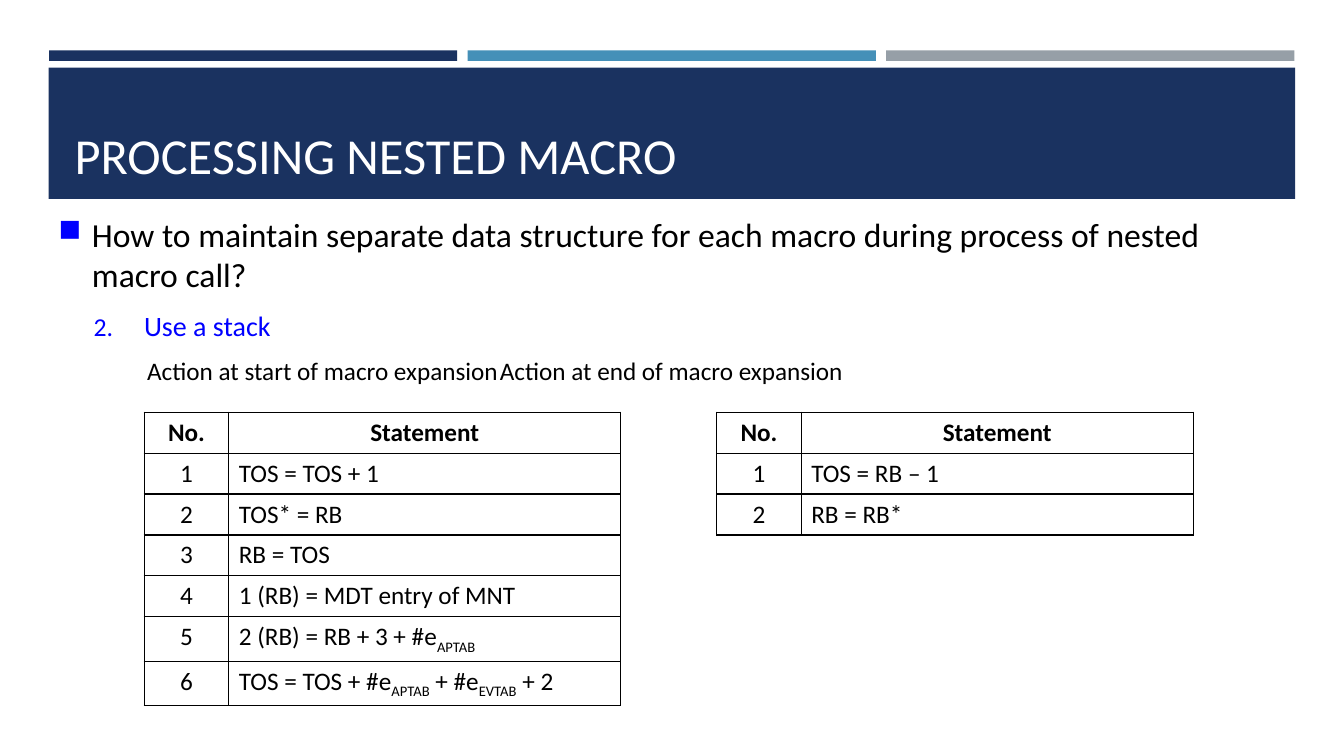
import pptx
import pptx.dml.color
import pptx.enum.shapes
import pptx.enum.text
import pptx.oxml
import pptx.oxml.ns
import pptx.util

Pt = pptx.util.Pt
ALIGN = pptx.enum.text.PP_ALIGN
NAVY, BLUE, GREY = "1A3260", "4590B8", "969FA7"
BLACK, WHITE, ACCENT = "000000", "FFFFFF", "0000FF"


def color(hex_string):
    return pptx.dml.color.RGBColor.from_string(hex_string)


def add_xml(parent, xml):
    """Append a DrawingML fragment to parent."""
    namespace = pptx.oxml.ns.nsdecls("a")
    parent.append(pptx.oxml.parse_xml(xml.replace(" ", f" {namespace} ", 1)))


class MacroSlide:
    font_name = "Calibri"
    row_height = 29.2
    column_widths = (60.4, 280.1)

    def __init__(self, presentation):
        self.slide = presentation.slides.add_slide(presentation.slide_layouts[5])
        self.shapes = self.slide.shapes

    def style(self, paragraph, size, hex_string, bold=False):
        for run in paragraph.runs:
            run.font.name = self.font_name
            run.font.size = Pt(size)
            run.font.bold = bold
            run.font.color.rgb = color(hex_string)

    def bar(self, left, top, width, height, fill):
        bar = self.shapes.add_shape(pptx.enum.shapes.MSO_SHAPE.RECTANGLE,
                                    Pt(left), Pt(top), Pt(width), Pt(height))
        bar.shadow.inherit = False
        bar.fill.solid()
        bar.fill.fore_color.rgb = color(fill)
        bar.line.fill.background()
        return bar

    def title(self, wording, band):
        """Set the title and place it in front of its band."""
        title = self.shapes.title
        title.left, title.top, title.width, title.height = map(Pt, (46.1, 55.4, 868.3, 79.9))
        frame = title.text_frame
        frame.text = wording
        frame.auto_size = pptx.enum.text.MSO_AUTO_SIZE.NONE
        frame.vertical_anchor = pptx.enum.text.MSO_ANCHOR.BOTTOM
        frame.paragraphs[0].alignment = ALIGN.LEFT
        self.style(frame.paragraphs[0], 36, WHITE)
        band.element.addnext(title.element)

    def body(self, entries):
        """Entries are (wording, size, colour, margin, indent, marker XML)."""
        frame = self.shapes.add_textbox(Pt(34.6), Pt(149), Pt(890.6), Pt(391)).text_frame
        frame.word_wrap = True
        for index, (wording, size, hex_string, margin, indent, marker) in enumerate(entries):
            paragraph = frame.add_paragraph() if index else frame.paragraphs[0]
            paragraph.text = wording
            paragraph.space_after = Pt(6)
            if index:
                paragraph.space_before = Pt(size * 0.2)
            properties = paragraph._p.get_or_add_pPr()
            properties.set("marL", str(Pt(margin)))
            properties.set("indent", str(Pt(indent)))
            for xml in marker:
                add_xml(properties, xml)
            self.style(paragraph, size, hex_string)

    def write_cell(self, cell, wording, centred, bold):
        """Write wording, in which _..._ encloses a subscript."""
        cell.fill.background()
        paragraph = cell.text_frame.paragraphs[0]
        paragraph.alignment = ALIGN.CENTER if centred else ALIGN.LEFT
        for index, part in enumerate(wording.split("_")):
            if part:
                run = paragraph.add_run()
                run.text = part
                if index % 2:
                    run._r.get_or_add_rPr().set("baseline", "-25000")
        self.style(paragraph, 18, BLACK, bold)

    def border_cell(self, cell):
        properties = cell._tc.get_or_add_tcPr()
        fill = properties[0]
        for side in ("lnL", "lnR", "lnT", "lnB"):
            add_xml(properties, f'<a:{side} w="{Pt(1)}"><a:solidFill>'
                                f'<a:srgbClr val="{BLACK}"/></a:solidFill></a:{side}>')
        properties.append(fill)

    def statements(self, left, top, statements):
        """Add a table of numbered statements."""
        rows = [("No.", "Statement")]
        rows += [(str(number), text) for number, text in enumerate(statements, 1)]
        table = self.shapes.add_table(
            len(rows), 2, Pt(left), Pt(top), Pt(sum(self.column_widths)),
            Pt(self.row_height * len(rows))).table
        table.horz_banding = False
        for column, width in zip(table.columns, self.column_widths):
            column.width = Pt(width)
        for row_index, row in enumerate(rows):
            table.rows[row_index].height = Pt(self.row_height)
            for column_index, wording in enumerate(row):
                cell = table.cell(row_index, column_index)
                header = row_index == 0
                self.write_cell(cell, wording, header or column_index == 0, header)
                self.border_cell(cell)


def main():
    presentation = pptx.Presentation()
    presentation.slide_width, presentation.slide_height = Pt(960), Pt(540)
    slide = MacroSlide(presentation)

    for index, fill in enumerate((NAVY, BLUE, GREY)):
        slide.bar(35 + index * 299, 36, 291.6, 7.5, fill)
    band = slide.bar(34.7, 48.3, 890.4, 93.8, NAVY)
    slide.title("PROCESSING NESTED MACRO", band)

    marker_style = (f'<a:buClr ><a:srgbClr val="{ACCENT}"/></a:buClr>',
                    '<a:buSzPct val="92000"/>')
    slide.body([
        ("How to maintain separate data structure for each macro during process "
         "of nested macro call?", 24, BLACK, 24, -24,
         (*marker_style, '<a:buChar char="■"/>')),
        ("Use a stack", 20, ACCENT, 61.2, -36,
         (*marker_style, '<a:buAutoNum type="arabicPeriod" startAt="2"/>')),
        ("Action at start of macro expansion\tAction at end of macro expansion",
         18, BLACK, 63.4, 0,
         ('<a:buNone />', f'<a:tabLst ><a:tab pos="{Pt(396)}" algn="l"/></a:tabLst>')),
    ])

    slide.statements(103, 294.5, [
        "TOS = TOS + 1",
        "TOS* = RB",
        "RB = TOS",
        "1 (RB) = MDT entry of MNT",
        "2 (RB) = RB + 3 + #e_APTAB_",
        "TOS = TOS + #e_APTAB_ + #e_EVTAB_ + 2",
    ])
    slide.statements(511.9, 294.5, ["TOS = RB – 1", "RB = RB*"])
    presentation.save("out.pptx")


if __name__ == "__main__":
    main()
